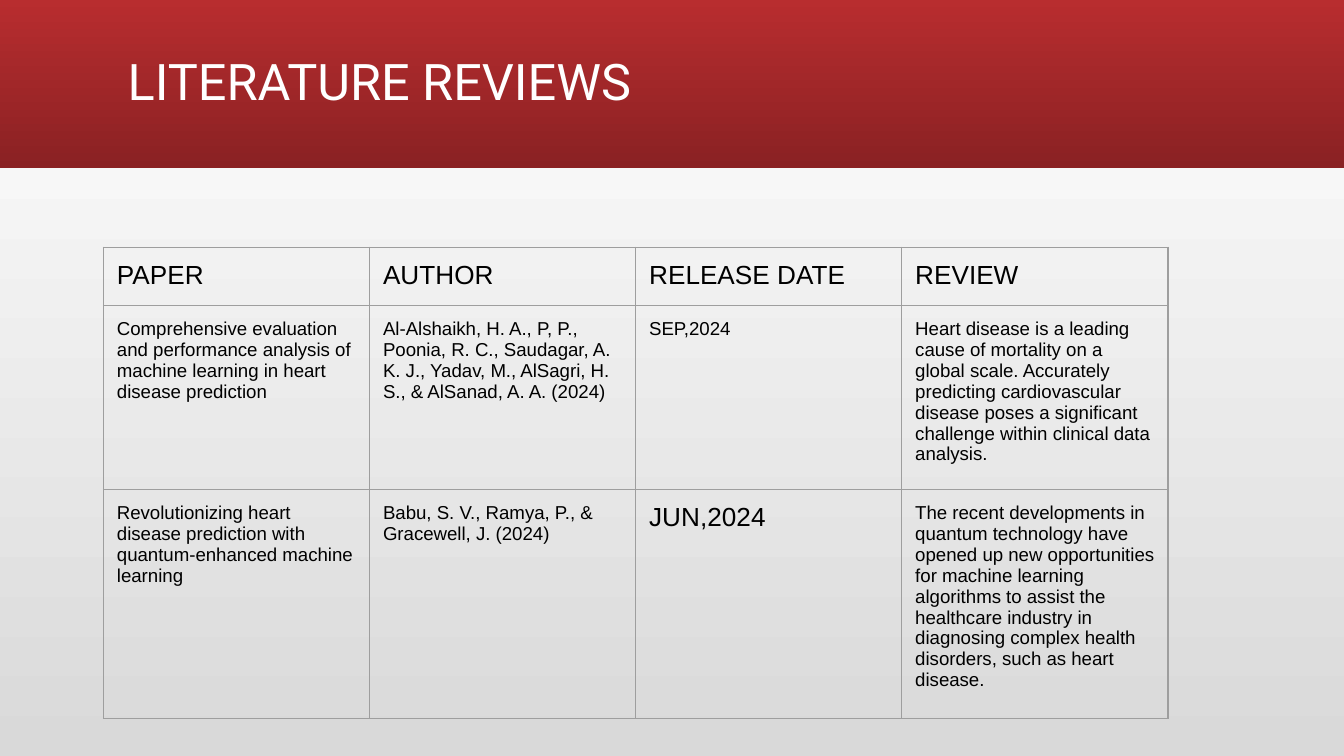
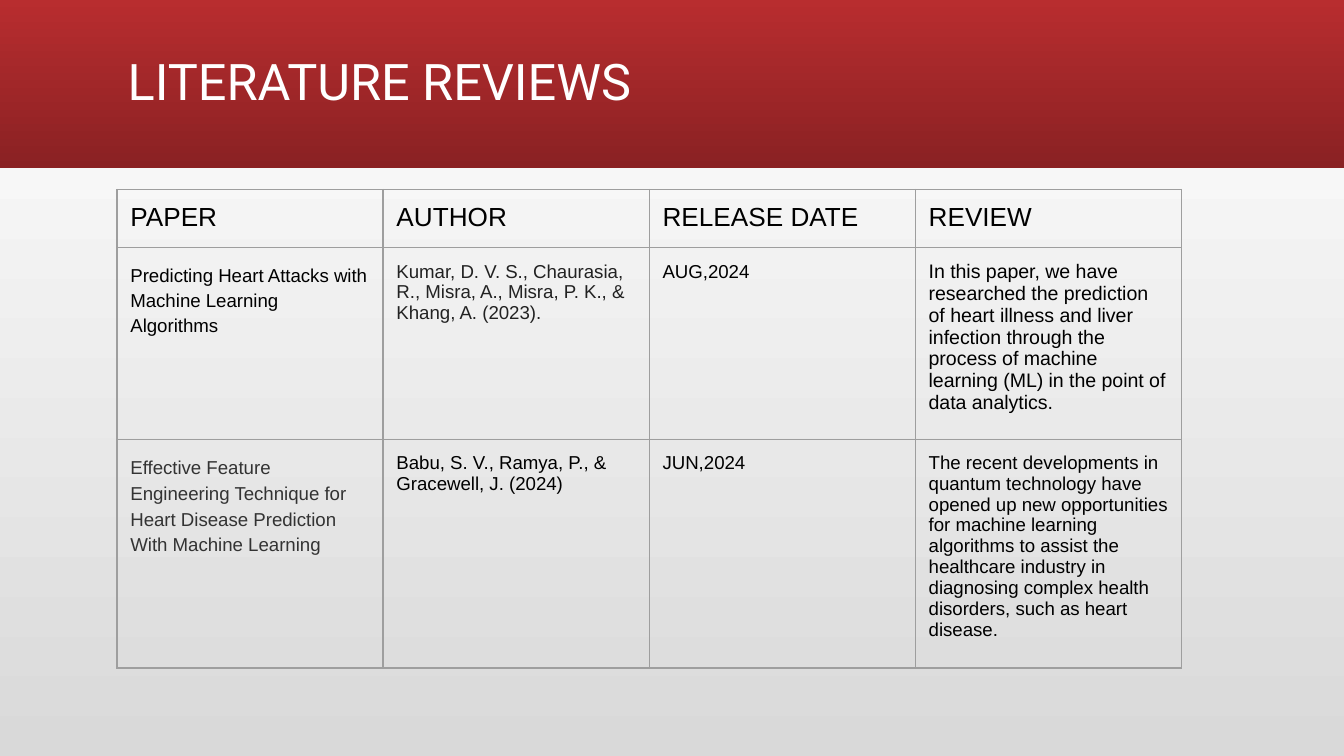
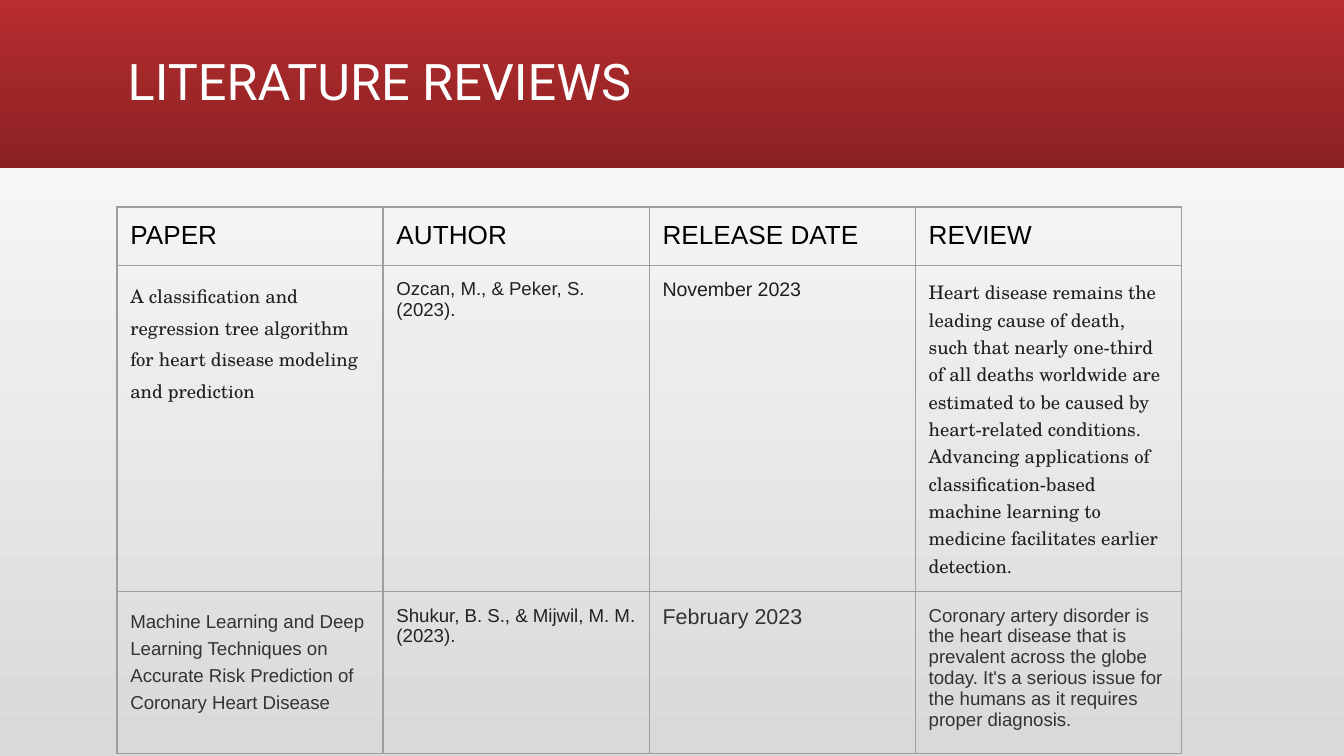
import pptx
import pptx.dml.color
import pptx.enum.shapes
import pptx.enum.text
import pptx.util
import lxml.etree
from pptx.util import Inches

TITLE = "LITERATURE REVIEWS"
HEADINGS = ["PAPER", "AUTHOR", "RELEASE DATE", "REVIEW"]
QUANTUM_AUTHORS = "Babu, S. V., Ramya, P., & Gracewell, J. (2024)"
QUANTUM_REVIEW = (
    "The recent developments in quantum technology have opened up new opportunities "
    "for machine learning algorithms to assist the healthcare industry in diagnosing "
    "complex health disorders, such as heart disease."
)

BLACK, INK, CITATION, GREY = "000000", "1F1F1F", "222222", "333333"
SERIF = "TeX Gyre Schola"
HEADING_STYLE = {"size": 14}

REVIEW_SLIDES = [
    {"left": 0.77, "top": 1.84, "paper_heights": [1.29, 1.59], "papers": [
        [("Comprehensive evaluation and performance analysis of machine learning "
          "in heart disease prediction", {}),
         ("Al-Alshaikh, H. A., P, P., Poonia, R. C., Saudagar, A. K. J., Yadav, M., "
          "AlSagri, H. S., & AlSanad, A. A. (2024)", {}),
         ("SEP,2024", {}),
         ("Heart disease is a leading cause of mortality on a global scale. Accurately "
          "predicting cardiovascular disease poses a significant challenge within "
          "clinical data analysis.", {})],
        [("Revolutionizing heart disease prediction with quantum-enhanced machine "
          "learning", {}),
         (QUANTUM_AUTHORS, {}),
         ("JUN,2024", {"size": 14}),
         (QUANTUM_REVIEW, {})],
    ]},
    {"left": 0.87, "top": 1.41, "paper_heights": [1.33, 1.59], "papers": [
        [("Predicting Heart Attacks with Machine Learning Algorithms", {"spacing": 1.2}),
         ("Kumar, D. V. S., Chaurasia, R., Misra, A., Misra, P. K., & Khang, A. (2023).",
          {"color": CITATION}),
         ("AUG,2024", {}),
         ("In this paper, we have researched the prediction of heart illness and liver "
          "infection through the process of machine learning (ML) in the point of data "
          "analytics.", {"size": 10.5})],
        [("Effective Feature Engineering Technique for Heart Disease Prediction With "
          "Machine Learning", {"spacing": 1.24, "color": GREY}),
         (QUANTUM_AUTHORS, {}),
         ("JUN,2024", {}),
         (QUANTUM_REVIEW, {})],
    ]},
    {"left": 0.87, "top": 1.54, "paper_heights": [2.43, 1.16], "papers": [
        [("A classification and regression tree algorithm for heart disease modeling "
          "and prediction", {"spacing": 1.15, "font": SERIF, "color": INK}),
         ("Ozcan, M., & Peker, S. (2023).", {"color": CITATION}),
         ("November 2023", {"size": 10.5, "color": INK}),
         ("Heart disease remains the leading cause of death, such that nearly one-third "
          "of all deaths worldwide are estimated to be caused by heart-related "
          "conditions. Advancing applications of classification-based machine learning "
          "to medicine facilitates earlier detection.", {"font": SERIF, "color": INK})],
        [("Machine Learning and Deep Learning Techniques on Accurate Risk Prediction of "
          "Coronary Heart Disease", {"spacing": 1.3, "color": GREY}),
         ("Shukur, B. S., & Mijwil, M. M. (2023).", {"color": CITATION}),
         ("February 2023", {"size": 11.5, "color": GREY}),
         ("Coronary artery disorder is the heart disease that is prevalent across the "
          "globe today. It's a serious issue for the humans as it requires proper "
          "diagnosis.", {"color": GREY})],
    ]},
]

SLIDE_WIDTH, SLIDE_HEIGHT = 10, 5.625
BAND_HEIGHT = 1.25
COLUMN_WIDTH = 1.98
HEADING_HEIGHT = 0.42
CELL_MARGIN = 0.1
BORDER_COLOR, BORDER_WIDTH = "9E9E9E", 0.75


def rgb(color):
    return pptx.dml.color.RGBColor.from_string(color)


def fill_gradient(fill, colors, angle):
    fill.gradient()
    fill.gradient_angle = angle
    for stop, color in zip(fill.gradient_stops, colors):
        stop.color.rgb = rgb(color)


def write(text_frame, text, size=10, font="Arial", color=BLACK, spacing=None):
    text_frame.text = text
    paragraph = text_frame.paragraphs[0]
    if spacing:
        paragraph.line_spacing = spacing
    run_font = paragraph.runs[0].font
    run_font.size = pptx.util.Pt(size)
    run_font.name = font
    run_font.color.rgb = rgb(color)


def set_margins(box, horizontal, vertical):
    box.margin_left = box.margin_right = Inches(horizontal)
    box.margin_top = box.margin_bottom = Inches(vertical)


def add_borders(cell):
    properties = cell._tc.get_or_add_tcPr()
    namespace = "{http://schemas.openxmlformats.org/drawingml/2006/main}"
    for side in ("lnL", "lnR", "lnT", "lnB"):
        line = lxml.etree.SubElement(properties, namespace + side,
                                     w=str(pptx.util.Pt(BORDER_WIDTH)))
        solid = lxml.etree.SubElement(line, namespace + "solidFill")
        lxml.etree.SubElement(solid, namespace + "srgbClr", val=BORDER_COLOR)


def add_base_slide(deck):
    slide = deck.slides.add_slide(deck.slide_layouts[6])
    fill_gradient(slide.background.fill, ["D9D9D9", "FFFFFF"], 90)

    band = slide.shapes.add_shape(pptx.enum.shapes.MSO_SHAPE.RECTANGLE, 0, 0,
                                  Inches(SLIDE_WIDTH), Inches(BAND_HEIGHT))
    band.shadow.inherit = False
    band.line.fill.background()
    fill_gradient(band.fill, ["B82D2F", "8A2123"], 270)

    title = slide.shapes.add_textbox(Inches(0.88), Inches(0.08),
                                     Inches(8.25), Inches(1.09)).text_frame
    title.word_wrap = True
    title.vertical_anchor = pptx.enum.text.MSO_ANCHOR.MIDDLE
    set_margins(title, 0.07, 0.04)
    write(title, TITLE, size=27, font="Roboto", color="FFFFFF", spacing=0.9)
    return slide


def add_review_table(slide, left, top, paper_heights, papers):
    rows = [[(heading, HEADING_STYLE) for heading in HEADINGS]] + papers
    heights = [HEADING_HEIGHT] + paper_heights
    reviews = slide.shapes.add_table(
        len(rows), len(HEADINGS), Inches(left), Inches(top),
        Inches(COLUMN_WIDTH * len(HEADINGS)), Inches(sum(heights))).table
    reviews.first_row = False
    reviews.horz_banding = False
    for column in reviews.columns:
        column.width = Inches(COLUMN_WIDTH)
    for row, height, entries in zip(reviews.rows, heights, rows):
        row.height = Inches(height)
        for cell, (text, style) in zip(row.cells, entries):
            set_margins(cell, CELL_MARGIN, CELL_MARGIN)
            add_borders(cell)
            cell.fill.background()
            write(cell.text_frame, text, **style)


def main():
    deck = pptx.Presentation()
    deck.slide_width = Inches(SLIDE_WIDTH)
    deck.slide_height = Inches(SLIDE_HEIGHT)
    for review_slide in REVIEW_SLIDES:
        add_review_table(add_base_slide(deck), **review_slide)
    deck.save("out.pptx")


if __name__ == "__main__":
    main()
